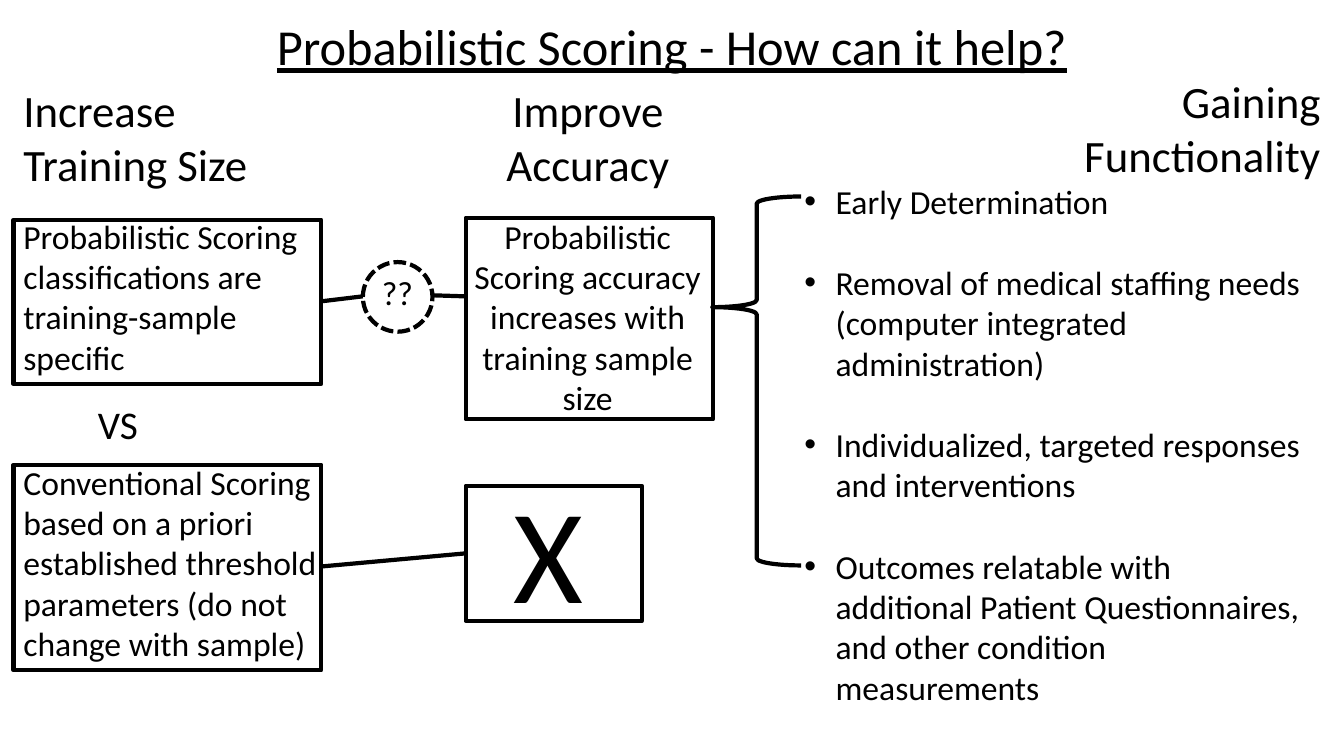
from pptx import Presentation
from pptx.dml.color import RGBColor
from pptx.enum.dml import MSO_LINE
from pptx.enum.shapes import MSO_CONNECTOR, MSO_SHAPE
from pptx.enum.text import MSO_ANCHOR, MSO_AUTO_SIZE, PP_ALIGN
from pptx.oxml.ns import qn
from pptx.util import Inches, Pt
from lxml import etree

LEFT, CENTER, RIGHT = PP_ALIGN.LEFT, PP_ALIGN.CENTER, PP_ALIGN.RIGHT
TOP, NO_FIT = MSO_ANCHOR.TOP, MSO_AUTO_SIZE.NONE
RECT, OVAL, BRACE = MSO_SHAPE.RECTANGLE, MSO_SHAPE.OVAL, MSO_SHAPE.LEFT_BRACE
STRAIGHT, DASH = MSO_CONNECTOR.STRAIGHT, MSO_LINE.SQUARE_DOT
COLORS = {"ink": "000000", "paper": "FFFFFF"}
FONT = "Calibri"
INK = RGBColor.from_string(COLORS["ink"])
HEADING, BODY = 32, 24

prs = Presentation()
prs.slide_width, prs.slide_height = Inches(13.33), Inches(7.5)
COL, ROW = prs.slide_width / 100, prs.slide_height / 100


def place(box, part):
    x, y = box[0] + part[0], box[1] + part[1]
    return [int(v) for v in (x * COL, y * ROW, part[2] * COL, part[3] * ROW)]


def move(sp, box, part):
    sp.left, sp.top, sp.width, sp.height = place(box, part)


def format_text(tf, size, align=LEFT, wrap=True):
    tf.word_wrap = wrap
    tf.auto_size = NO_FIT
    tf.vertical_anchor = TOP
    for p in tf.paragraphs:
        p.alignment = align
        for r in p.runs:
            r.font.name, r.font.size = FONT, Pt(size)
            r.font.color.rgb = INK


def add_text(s, box, part, text, size=BODY, align=LEFT, wrap=True):
    tf = s.shapes.add_textbox(*place(box, part)).text_frame
    tf.text = text
    format_text(tf, size, align, wrap)


def add_outline(s, box, part, kind=RECT):
    sp = s.shapes.add_shape(kind, *place(box, part))
    sp.shadow.inherit = False
    sp.fill.background()
    sp.line.color.rgb = INK
    sp.line.width = Pt(3)
    return sp


def add_link(s, box, start, end):
    x1, y1, _, _ = place(box, (*start, 0, 0))
    x2, y2, _, _ = place(box, (*end, 0, 0))
    c = s.shapes.add_connector(STRAIGHT, x1, y1, x2, y2)
    c.line.color.rgb = INK
    c.line.width = Pt(3)
    etree.SubElement(c._element.spPr, qn("a:effectLst"))


def build_title(s, box):
    sp = s.shapes.title
    move(sp, box, (0, 0, *box[2:]))
    sp.text_frame.text = "Probabilistic Scoring - How can it help?"
    format_text(sp.text_frame, 36, CENTER, False)
    sp.text_frame.paragraphs[0].runs[0].font.underline = True


def build_training(s, box):
    add_text(s, box, (0, 0, box[2], 15.7), "Increase Training Size", HEADING)
    add_outline(s, box, (0, 18.8, 22.9, 21.73))
    add_text(s, box, (0, 17.6, 22.9, 22.9),
             "Probabilistic Scoring classifications are training-sample specific")
    add_text(s, box, (5.55, 42, 4.5, 7.6), "VS", 28, wrap=False)
    add_outline(s, box, (0, 51.2, 22.9, 27.2))
    add_text(s, box, (0, 50.13, 27.3, 28.3),
             "Conventional Scoring based on a priori established threshold "
             "parameters (do not change with sample)")


def build_accuracy(s, box):
    add_text(s, box, (1.05, 0, 18.2, 15.7), "Improve Accuracy", HEADING, CENTER)
    add_outline(s, box, (1.05, 18.53, 18.4, 26.67))
    add_text(s, box, (0, 17.6, box[2], 33.6),
             "Probabilistic Scoring accuracy increases with training sample size",
             align=CENTER)
    add_outline(s, box, (1.05, 54, 13.1, 17.87))
    add_text(s, box, (3.9, 51.07, 9, 22.9), "X", 96)


def build_functionality(s, box):
    add_text(s, box, (22.45, 0, 23.55, 15.7), "Gaining Functionality", HEADING, RIGHT)
    brace = add_outline(s, box, (0, 16.93, 6.6, 48.8), BRACE)
    brace.adjustments[0], brace.adjustments[1] = 0.08, 0.3
    sp = s.placeholders[1]
    move(sp, box, (6.1, 14.13, 39.4, 71.3))
    tf = sp.text_frame
    tf.text = "\n".join([
        "Early Determination",
        "Removal of medical staffing needs (computer integrated administration)",
        "Individualized, targeted responses and interventions",
        "Outcomes relatable with additional Patient Questionnaires, "
        "and other condition measurements",
    ])
    format_text(tf, BODY)
    for i, p in enumerate(tf.paragraphs):
        p.space_before = Pt(29.3 if i else 0)
        pPr = p._p.get_or_add_pPr()
        pPr.set("marL", str(Inches(0.31)))
        pPr.set("indent", str(-Inches(0.31)))


def build_links(s, box):
    circle = add_outline(s, box, (3.15, 0, 5.18, 9.2), OVAL)
    circle.line.dash_style = DASH
    add_text(s, box, (3.8, 0.67, 3.83, 6.67), "??", align=CENTER, wrap=False)
    for start, end in [((0, 5.2), (3.15, 4.53)),
                       ((8.4, 4.4), (10.73, 4.53)),
                       ((0, 40.27), (10.8, 38.53))]:
        add_link(s, box, start, end)


s = prs.slides.add_slide(prs.slide_layouts[1])
s.background.fill.solid()
s.background.fill.fore_color.rgb = RGBColor.from_string(COLORS["paper"])
build_title(s, (19.6, 1.33, 60.8, 9.47))
build_training(s, (1, 10.27, 24.2, 78.4))
build_accuracy(s, (33.6, 10.27, 20.25, 74))
build_functionality(s, (53, 9.07, 46, 85.5))
build_links(s, (23.85, 34.67, 10.8, 40.3))
prs.save("out.pptx")
